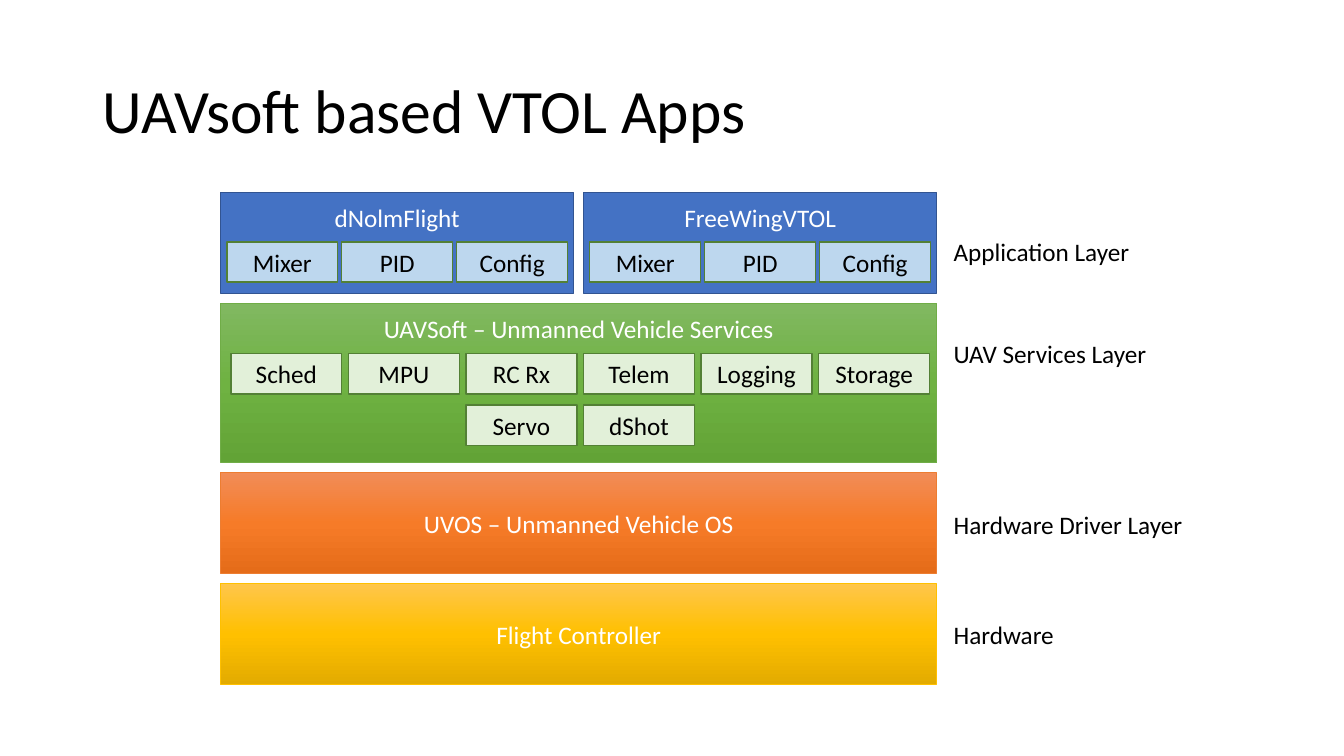
import copy
from dataclasses import dataclass

import pptx
import pptx.dml.color
import pptx.enum.shapes
import pptx.enum.text
import pptx.oxml.ns
import pptx.util

TITLE = "UAVsoft based VTOL Apps"
APPS = ["dNolmFlight", "FreeWingVTOL"]
APP_MODULES = ["Mixer", "PID", "Config"]
SERVICES_TITLE = "UAVSoft – Unmanned Vehicle Services"
# Each row: first column, then the services
SERVICE_ROWS = [
    (0, ["Sched", "MPU", "RC Rx", "Telem", "Logging", "Storage"]),
    (2, ["Servo", "dShot"]),
]
# Each layer: key, side label, height, label offset from the layer's top, centred text
LAYERS = [
    ("apps", "Application Layer", 1, 0.38, ""),
    ("services", "UAV Services Layer", 1.58, 0.3, ""),
    ("driver", "Hardware Driver Layer", 1, 0.31, "UVOS – Unmanned Vehicle OS"),
    ("hardware", "Hardware", 1, 0.3, "Flight Controller"),
]


@dataclass(frozen=True)
class Theme:
    font: str = "Calibri"
    title_size: int = 44
    body_size: int = 18
    dark: str = "000000"
    light: str = "FFFFFF"
    app_fill: str = "4472C4"
    app_line: str = "325491"
    module_fill: str = "BDD7EE"
    service_fill: str = "E2F0D9"
    chip_line: str = "538035"


THEME = Theme()
# Gradient from top to bottom, then the outline
GRADIENTS = {
    "services": (["81B861", "6FB242", "62A336"], "70AD47"),
    "driver": (["F18C57", "F67B28", "E56C19"], "ED7D31"),
    "hardware": (["FFC64B", "FFC000", "E3AB00"], "FFC000"),
}

STACK_LEFT, STACK_TOP, STACK_WIDTH, GAP = 2.19, 1.91, 7.1, 0.1
APP_WIDTH = (STACK_WIDTH - GAP) / len(APPS)
CHIP_WIDTH, CHIP_HEIGHT = 1.1, 0.4
MODULE_INSET, MODULE_PITCH, MODULE_TOP = 0.06, 1.14, 0.49
SERVICE_INSET, SERVICE_TOP, SERVICE_ROW_PITCH = 0.1, 0.5, 0.51
SERVICE_PITCH = (STACK_WIDTH - 2 * SERVICE_INSET - CHIP_WIDTH + 0.03) / 5
LABEL_LEFT, LABEL_WIDTH = 9.36, 2.57

ALIGN = pptx.enum.text.PP_ALIGN
ANCHOR = pptx.enum.text.MSO_ANCHOR


def inches(*lengths):
    return [pptx.util.Inches(length) for length in lengths]


def color(code):
    return pptx.dml.color.RGBColor.from_string(code)


def write(box, text, ink, size=THEME.body_size, align=ALIGN.LEFT, anchor=ANCHOR.MIDDLE):
    frame = box.text_frame
    frame.text = text
    frame.word_wrap = True
    frame.vertical_anchor = anchor
    para = frame.paragraphs[0]
    para.alignment = align
    for span in para.runs:
        span.font.name = THEME.font
        span.font.size = pptx.util.Pt(size)
        span.font.color.rgb = color(ink)


def add_text(page, place, text, ink, align=ALIGN.LEFT):
    write(page.shapes.add_textbox(*inches(*place)), text, ink, align=align)


def add_box(page, place, line, line_width):
    box = page.shapes.add_shape(pptx.enum.shapes.MSO_SHAPE.RECTANGLE, *inches(*place))
    box.shadow.inherit = False
    box.line.color.rgb = color(line)
    box.line.width = pptx.util.Pt(line_width)
    return box


def add_solid(page, place, fill, line):
    box = add_box(page, place, line, 1)
    box.fill.solid()
    box.fill.fore_color.rgb = color(fill)
    return box


def add_chip(page, left, top, text, fill):
    chip = add_solid(page, (left, top, CHIP_WIDTH, CHIP_HEIGHT), fill, THEME.chip_line)
    write(chip, text, THEME.dark, align=ALIGN.CENTER, anchor=ANCHOR.TOP)


def add_band(page, place, key, text):
    """Draw a full-width layer with a vertical three-stop gradient."""
    shades, line = GRADIENTS[key]
    band = add_box(page, place, line, 0.5)
    band.fill.gradient()
    band.fill.gradient_angle = 270
    stop_list = band._element.spPr.find(".//" + pptx.oxml.ns.qn("a:gsLst"))
    stop_list.append(copy.deepcopy(stop_list[0]))
    for index, (stop, shade) in enumerate(zip(band.fill.gradient_stops, shades)):
        stop.position = index / (len(shades) - 1)
        stop.color.rgb = color(shade)
    if text:
        write(band, text, THEME.light, align=ALIGN.CENTER)


def add_apps(page, top, height):
    for index, name in enumerate(APPS):
        left = STACK_LEFT + index * (APP_WIDTH + GAP)
        add_solid(page, (left, top, APP_WIDTH, height), THEME.app_fill, THEME.app_line)
        add_text(page, (left, top, APP_WIDTH, 0.5), name, THEME.light, ALIGN.CENTER)
        for column, module in enumerate(APP_MODULES):
            add_chip(page, left + MODULE_INSET + column * MODULE_PITCH,
                     top + MODULE_TOP, module, THEME.module_fill)


def add_services(page, top):
    add_text(page, (STACK_LEFT, top + 0.05, STACK_WIDTH, 0.4),
             SERVICES_TITLE, THEME.light, ALIGN.CENTER)
    for row, (first, services) in enumerate(SERVICE_ROWS):
        for column, service in enumerate(services, first):
            add_chip(page, STACK_LEFT + SERVICE_INSET + column * SERVICE_PITCH,
                     top + SERVICE_TOP + row * SERVICE_ROW_PITCH,
                     service, THEME.service_fill)


def main():
    deck = pptx.Presentation()
    deck.slide_width, deck.slide_height = inches(13.33, 7.5)
    page = deck.slides.add_slide(deck.slide_layouts.get_by_name("Title Only"))

    title = page.shapes.title
    title.left, title.top, title.width, title.height = inches(0.92, 0.4, 11.5, 1.45)
    write(title, TITLE, THEME.dark, THEME.title_size)
    title.text_frame.paragraphs[0].line_spacing = 0.9

    top = STACK_TOP
    for key, label, height, label_offset, text in LAYERS:
        if key == "apps":
            add_apps(page, top, height)
        else:
            add_band(page, (STACK_LEFT, top, STACK_WIDTH, height), key, text)
        if key == "services":
            add_services(page, top)
        add_text(page, (LABEL_LEFT, top + label_offset, LABEL_WIDTH, 0.4), label, THEME.dark)
        top += height + GAP

    deck.save("out.pptx")


if __name__ == "__main__":
    main()
